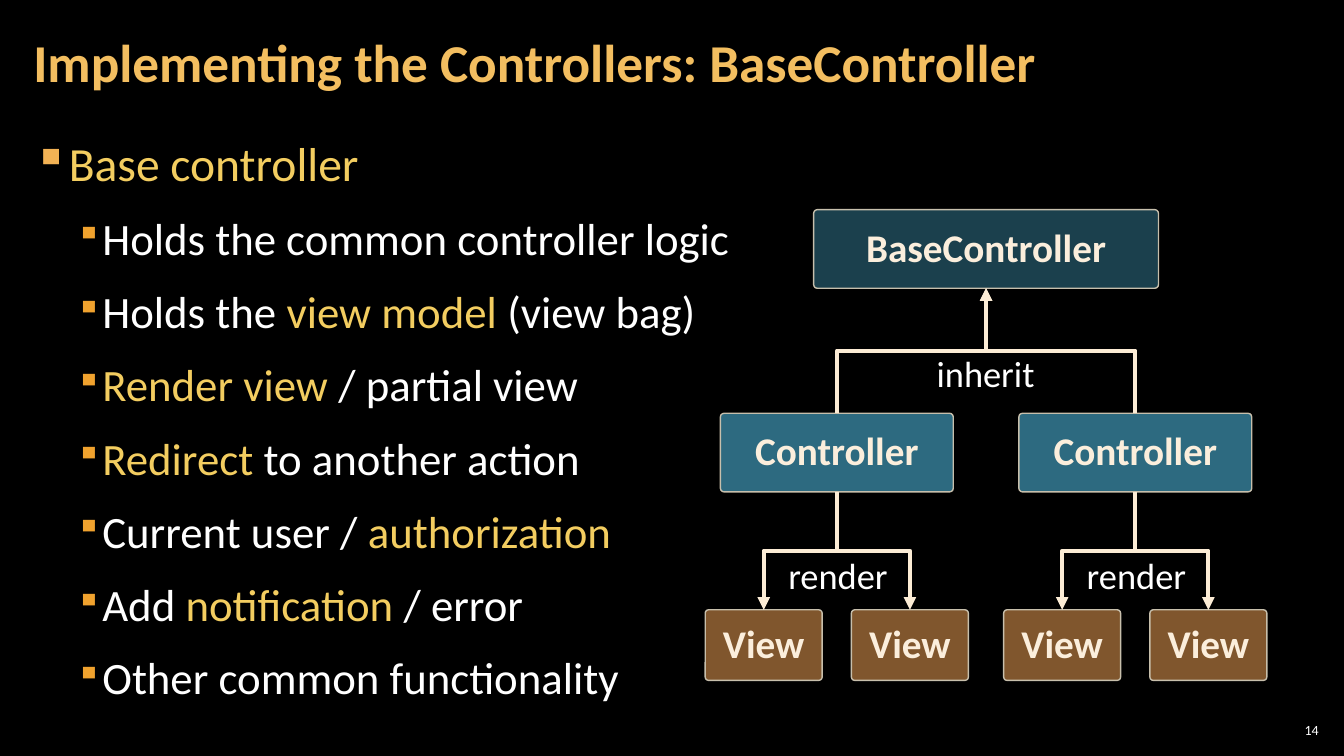
from lxml.etree import SubElement
from pptx import Presentation
from pptx.dml.color import RGBColor
from pptx.enum.shapes import MSO_CONNECTOR, MSO_SHAPE
from pptx.enum.text import MSO_ANCHOR, MSO_AUTO_SIZE, PP_ALIGN
from pptx.oxml.ns import qn
from pptx.util import Inches, Pt

BLACK = RGBColor(0x00, 0x00, 0x00)
WHITE = RGBColor(0xFF, 0xFF, 0xFF)
GOLD = RGBColor(0xF3, 0xBE, 0x60)
YELLOW = RGBColor(0xF3, 0xCD, 0x60)
AMBER = RGBColor(0xF2, 0xB2, 0x54)
ORANGE = RGBColor(0xF0, 0xA2, 0x2E)
CREAM = RGBColor(0xFB, 0xEE, 0xDC)
WIRE = RGBColor(0xFC, 0xEC, 0xD5)
EDGE = RGBColor(0xC7, 0xBF, 0xAC)
BLUE = RGBColor(0x5B, 0xD4, 0xFF)
BROWN = RGBColor(0xFF, 0xAD, 0x5B)

POINTS = [
    [("Holds the common controller logic", WHITE)],
    [("Holds the ", WHITE), ("view model ", YELLOW), ("(view bag)", WHITE)],
    [("Render view ", YELLOW), ("/ partial view", WHITE)],
    [("Redirect", YELLOW), (" to another action", WHITE)],
    [("Current user / ", WHITE), ("authorization", YELLOW)],
    [("Add ", WHITE), ("notification", YELLOW), (" / error", WHITE)],
    [("Other common functionality", WHITE)],
]


def style(run, size, color, bold=False):
    """Set the font of a run."""
    font = run.font
    font.name, font.size, font.bold = "Calibri", Pt(size), bold
    font.color.rgb = color


def inset(frame, side, top):
    """Set the margins of a text frame in inches."""
    frame.margin_left = frame.margin_right = Inches(side)
    frame.margin_top = frame.margin_bottom = Inches(top)


def add_title(slide, x, y, w, h):
    """Place the slide title in its box."""
    title = slide.shapes.title
    title.left, title.top = Inches(x), Inches(y)
    title.width, title.height = Inches(w), Inches(h)
    frame = title.text_frame
    frame.text = "Implementing the Controllers: BaseController"
    frame.auto_size = MSO_AUTO_SIZE.NONE
    frame.vertical_anchor = MSO_ANCHOR.MIDDLE
    inset(frame, 0.12, 0.04)
    para = frame.paragraphs[0]
    para.alignment, para.line_spacing = PP_ALIGN.LEFT, 0.9
    style(para.runs[0], 38, GOLD, True)


def add_point(para, parts, size, level, color):
    """Fill one bulleted paragraph with coloured runs."""
    para.level, para.line_spacing = level, 1.05
    para.space_before = para.space_after = Pt(6)
    for text, tint in parts:
        run = para.add_run()
        run.text = text
        style(run, size, tint)
    props = para._p.get_or_add_pPr()
    left, hang = [(0.33, 0.33), (0.67, 0.25)][level]
    props.set("marL", str(Inches(left)))
    props.set("indent", str(-Inches(hang)))
    tone = SubElement(props, qn("a:buClr"))
    SubElement(tone, qn("a:srgbClr"), val=str(color))
    SubElement(props, qn("a:buSzPct"), val="80000" if level else "100000")
    SubElement(props, qn("a:buChar"), char="▪")


def add_list(slide, x, y, w, h):
    """Place the bulleted list in its box."""
    box = slide.shapes.add_textbox(Inches(x), Inches(y), Inches(w), Inches(h))
    frame = box.text_frame
    frame.word_wrap = True
    inset(frame, 0.12, 0.04)
    head = [("Base controller", YELLOW)]
    add_point(frame.paragraphs[0], head, 34, 0, AMBER)
    for parts in POINTS:
        add_point(frame.add_paragraph(), parts, 32, 1, ORANGE)


def add_node(slide, text, mid, y, w, h, color, alpha):
    """Draw a translucent rounded box centred on mid."""
    node = slide.shapes.add_shape(MSO_SHAPE.ROUNDED_RECTANGLE, Inches(mid - w / 2),
                                  Inches(y), Inches(w), Inches(h))
    node.adjustments[0] = 0.047
    node.shadow.inherit = False
    node.fill.solid()
    node.fill.fore_color.rgb = color
    tone = node._element.spPr.find(qn("a:solidFill"))[0]
    SubElement(tone, qn("a:alpha"), val=str(alpha * 1000))
    node.line.color.rgb, node.line.width = EDGE, Pt(1)
    frame = node.text_frame
    frame.text = text
    frame.word_wrap = True
    frame.vertical_anchor = MSO_ANCHOR.MIDDLE
    para = frame.paragraphs[0]
    para.alignment, para.line_spacing = PP_ALIGN.CENTER, 0.95
    style(para.runs[0], 28, CREAM, True)


def add_wire(slide, x1, y1, x2, y2):
    """Draw an elbow arrow that leaves and arrives vertically."""
    turn = 1 if (x2 - x1) * (y2 - y1) < 0 else -1
    dx, dy = turn * (y2 - y1) / 2, turn * (x1 - x2) / 2
    mx, my = (x1 + x2) / 2, (y1 + y2) / 2
    wire = slide.shapes.add_connector(MSO_CONNECTOR.ELBOW, Inches(mx - dx), Inches(my - dy),
                                      Inches(mx + dx), Inches(my + dy))
    wire.line.color.rgb, wire.line.width = WIRE, Pt(3)
    props = wire._element.spPr
    props.find(qn("a:xfrm")).set("rot", str(turn * 90 % 360 * 60000))
    SubElement(props.find(qn("a:ln")), qn("a:tailEnd"), type="triangle")
    SubElement(props, qn("a:effectLst"))


def add_label(slide, text, x, y, w, h):
    """Place a wire label in its box."""
    box = slide.shapes.add_textbox(Inches(x), Inches(y), Inches(w), Inches(h))
    frame = box.text_frame
    frame.text = text
    frame.word_wrap = False
    frame.auto_size = MSO_AUTO_SIZE.SHAPE_TO_FIT_TEXT
    style(frame.paragraphs[0].runs[0], 26, WHITE)


def add_branch(slide, x, y, mid, top):
    """Draw one controller with its two views below the base."""
    hub = x + 1.3
    add_node(slide, "Controller", hub, y, 2.31, 0.78, BLUE, 50)
    add_wire(slide, hub, y, mid, top)
    for step in (-0.725, 0.725):
        add_node(slide, "View", hub + step, y + 1.95, 1.16, 0.7, BROWN, 50)
        add_wire(slide, hub, y + 0.78, hub + step, y + 1.95)
    add_label(slide, "render", hub - 0.58, y + 1.34, 1.2, 0.54)


def add_tree(slide, x, y, w):
    """Draw the controller tree in a box of the given width."""
    mid = x + w / 2
    add_node(slide, "BaseController", mid, y, 3.42, 0.78, BLUE, 30)
    for left in (x, x + w - 2.6):
        add_branch(slide, left, y + 2.02, mid, y + 0.78)
    add_label(slide, "inherit", mid - 0.59, y + 1.35, 1.18, 0.54)


def add_number(slide, x, y, w, h):
    """Place the slide number in its box."""
    box = slide.shapes.add_textbox(Inches(x), Inches(y), Inches(w), Inches(h))
    frame = box.text_frame
    frame.text = "14"
    frame.word_wrap = True
    frame.vertical_anchor = MSO_ANCHOR.MIDDLE
    inset(frame, 0.04, 0.04)
    frame.paragraphs[0].alignment = PP_ALIGN.RIGHT
    style(frame.paragraphs[0].runs[0], 10, WHITE)


def main():
    """Build and save the slide."""
    deck = Presentation()
    deck.slide_width, deck.slide_height = Inches(13.33), Inches(7.5)
    slide = deck.slides.add_slide(deck.slide_layouts[5])
    slide.background.fill.solid()
    slide.background.fill.fore_color.rgb = BLACK
    add_number(slide, 12.65, 7.14, 0.47, 0.21)
    add_list(slide, 0.21, 1.26, 12.91, 6.09)
    add_title(slide, 0.21, 0.04, 10.47, 1.21)
    add_tree(slide, 7, 2.08, 5.56)
    deck.save("out.pptx")


if __name__ == "__main__":
    main()
